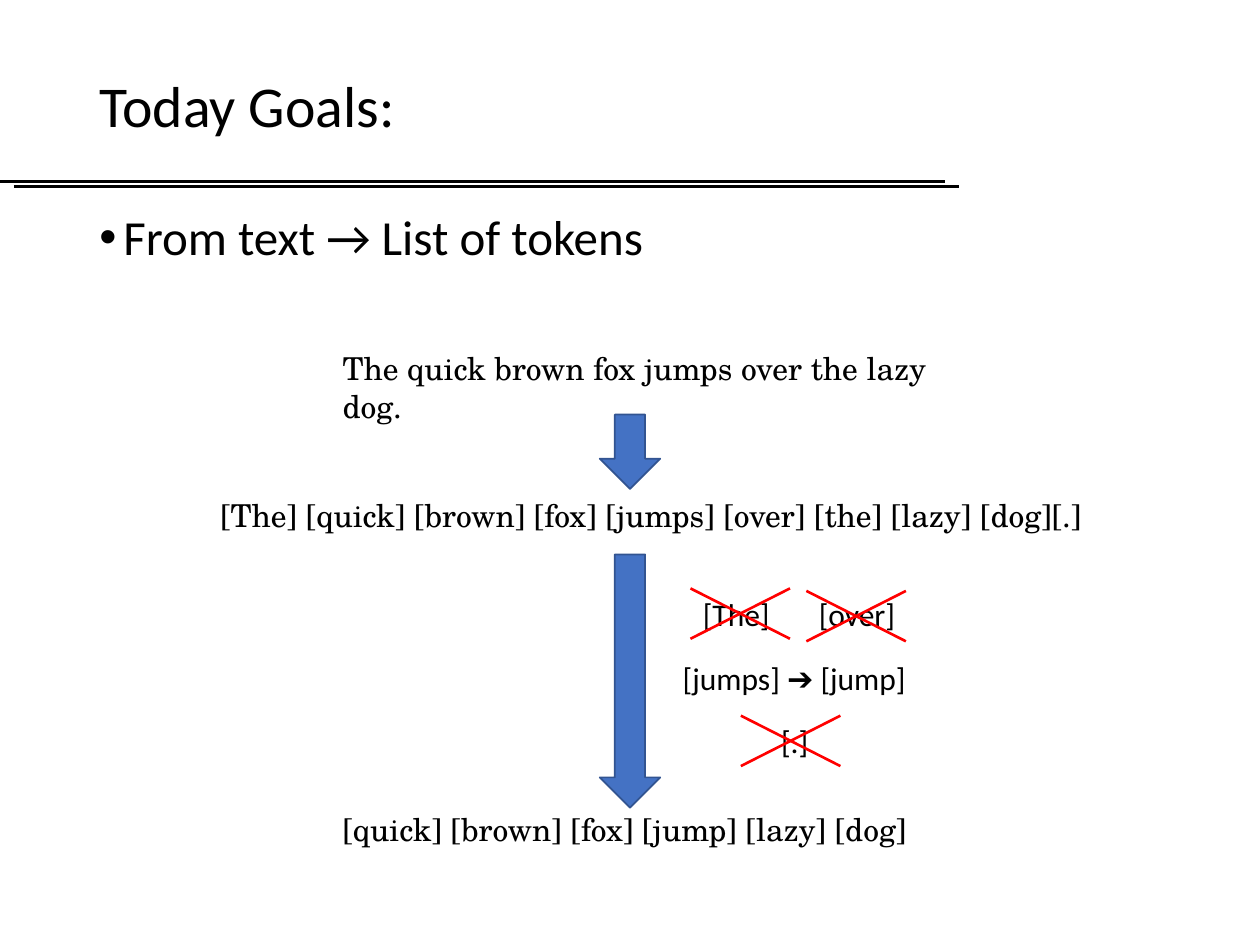
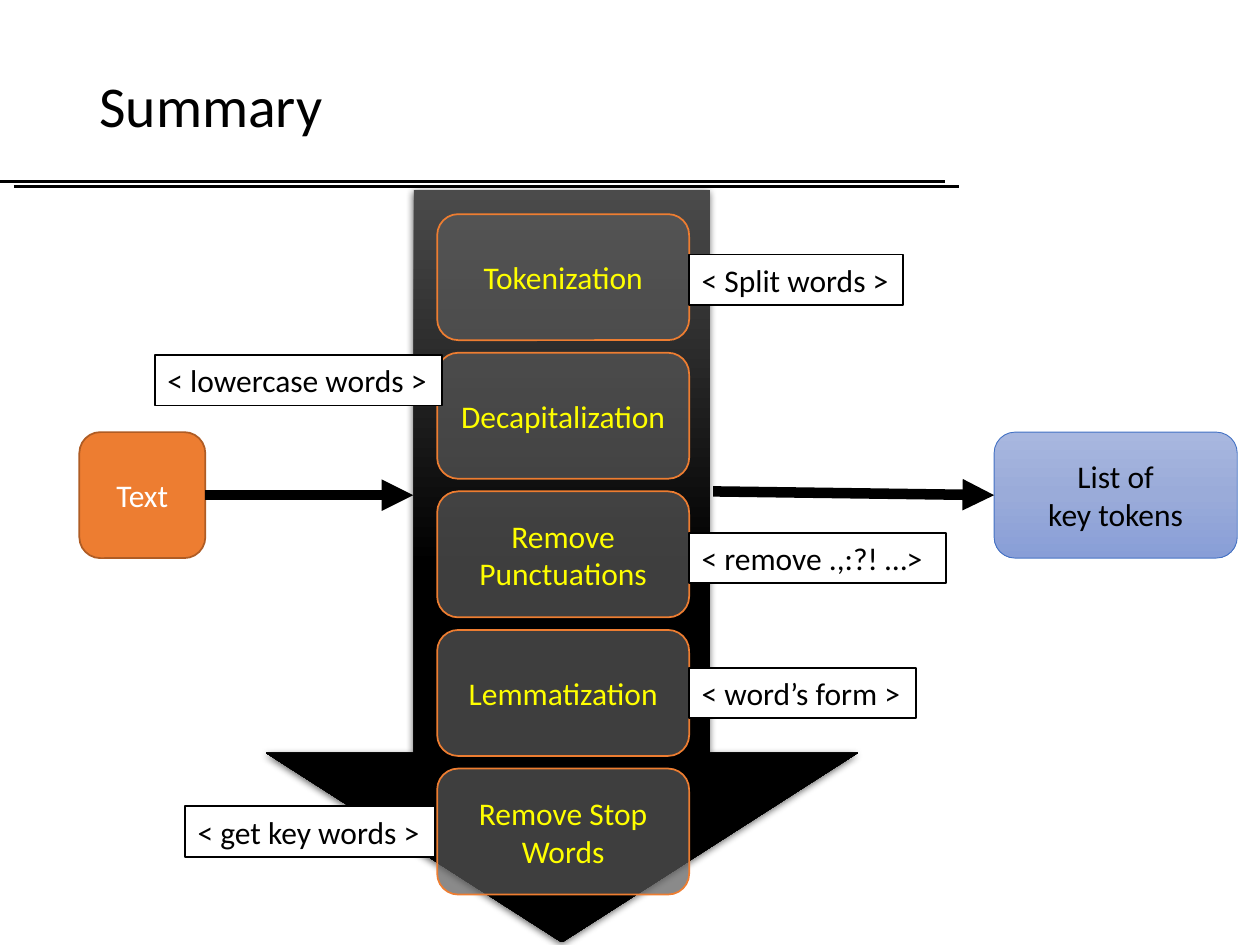
"""Build two slides on turning text into a list of key tokens."""
from collections import namedtuple
from copy import deepcopy

from lxml import etree
from pptx import Presentation
from pptx.dml.color import RGBColor
from pptx.enum.shapes import MSO_CONNECTOR, MSO_SHAPE
from pptx.enum.text import MSO_ANCHOR, PP_ALIGN
from pptx.oxml.ns import qn
from pptx.util import Emu, Pt

PX = 9144
DOWN_ARROW, ROUNDED, RECT = MSO_SHAPE.DOWN_ARROW, MSO_SHAPE.ROUNDED_RECTANGLE, MSO_SHAPE.RECTANGLE
STRAIGHT = MSO_CONNECTOR.STRAIGHT
TOP, MIDDLE = MSO_ANCHOR.TOP, MSO_ANCHOR.MIDDLE
LEFT, CENTER = PP_ALIGN.LEFT, PP_ALIGN.CENTER

Theme = namedtuple("Theme", "black white red yellow blue blue_edge orange orange_edge gray "
                            "dark_fade blue_fade sans serif title body text")
theme = Theme(black="000000", white="FFFFFF", red="FF0000", yellow="FFFF00",
              blue="4472C4", blue_edge="325491", orange="ED7D31", orange_edge="AF5C24",
              gray="595959", dark_fade=("4B4B4B", "000000", "000000"),
              blue_fade=("A8B7DF", "9AABD9", "889ED7"),
              sans="Calibri", serif="TeX Gyre Schola", title=33, body=28, text=18)


def write(slide, text, bounds, preset=None, fill=None, edge=None, edge_width=1, alpha=None,
          size=theme.text, font=theme.sans, color=theme.black, align=LEFT, anchor=TOP,
          spacing=None, before=None, bullet=None, right_inset=10):
    """Place text in a text box, or in a preset shape with fill and outline."""
    area = [Emu(n * PX) for n in bounds]
    if preset is None:
        box = slide.shapes.add_textbox(*area)
    else:
        box = slide.shapes.add_shape(preset, *area)
        box.shadow.inherit = False
        if isinstance(fill, tuple):
            box.fill.gradient()
            box.fill.gradient_angle = 270
            stops = next(box._element.spPr.iter(qn("a:gsLst")))
            stops.insert(1, deepcopy(stops[0]))
            for stop, shade, position in zip(box.fill.gradient_stops, fill, (0, 0.5, 1)):
                stop.color.rgb = RGBColor.from_string(shade)
                stop.position = position
        else:
            box.fill.solid()
            box.fill.fore_color.rgb = RGBColor.from_string(fill)
        if alpha:
            solid = next(box._element.spPr.iter(qn("a:srgbClr")))
            etree.SubElement(solid, qn("a:alpha"), val=str(alpha * 1000))
        if edge:
            box.line.color.rgb = RGBColor.from_string(edge)
            box.line.width = Pt(edge_width)
        else:
            box.line.fill.background()
    frame = box.text_frame
    frame.word_wrap = True
    frame.vertical_anchor = anchor
    frame.margin_right = Emu(right_inset * PX)
    frame.text = text
    for paragraph in frame.paragraphs:
        paragraph.alignment = align
        paragraph.line_spacing = spacing
        if before:
            paragraph.space_before = Pt(before)
        if bullet:
            props = paragraph._p.get_or_add_pPr()
            props.set("marL", str(19 * PX))
            props.set("indent", str(-19 * PX))
            etree.SubElement(props, qn("a:buFont"), typeface="Arial")
            etree.SubElement(props, qn("a:buChar"), char=bullet)
        for run in paragraph.runs:
            run.font.size = Pt(size)
            run.font.name = font
            run.font.color.rgb = RGBColor.from_string(color)
    return box


def link(shapes, start, end, color=theme.black, width=1.5, head=False):
    """Draw a straight line, with an arrowhead at its end if asked."""
    line = shapes.add_connector(STRAIGHT, *[Emu(n * PX) for n in (*start, *end)])
    line.line.color.rgb = RGBColor.from_string(color)
    line.line.width = Pt(width)
    props = line._element.spPr
    if head:
        etree.SubElement(props.find(qn("a:ln")), qn("a:tailEnd"), type="triangle")
    etree.SubElement(props, qn("a:effectLst"))
    return line


deck = Presentation()
deck.slide_width, deck.slide_height = Emu(1000 * PX), Emu(750 * PX)
goals, summary = [deck.slides.add_slide(deck.slide_layouts[6]) for _ in range(2)]

for slide, title in ((goals, "Today Goals:"), (summary, "Summary")):
    for left, top in ((11, 148), (0, 144)):
        link(slide.shapes, (left, top), (left + 750, top))
    write(slide, title, (69, 40, 862, 92), size=theme.title, anchor=MIDDLE, spacing=0.9)

write(goals, "From text → List of tokens", (69, 164, 862, 511),
      size=theme.body, spacing=0.9, before=7.5, bullet="•")

for step, left, top, width in (
        ("The quick brown fox jumps over the lazy dog.", 262, 272, 525),
        ("[The] [quick] [brown] [fox] [jumps] [over] [the] [lazy] [dog][.]", 165, 389, 720),
        ("[quick] [brown] [fox] [jump] [lazy] [dog]", 262, 638, 475)):
    write(goals, step, (left, top, width, 40), font=theme.serif)

for top, height in ((329, 59), (440, 201)):
    write(goals, "", (476, top, 48, height), preset=DOWN_ARROW,
          fill=theme.blue, edge=theme.blue_edge)

for token, left, top, width in (("[The]", 548, 467, 80), ("[over]", 640, 467, 87),
                                ("[jumps] ➔ [jump]", 532, 518, 216), ("[.]", 610, 568, 42)):
    write(goals, token, (left, top, width, 40))

for left, top in ((548, 467), (640, 469), (588, 568)):
    right, bottom = left + 79, top + 40
    cross = goals.shapes.add_group_shape().shapes
    link(cross, (left, top), (right, bottom), theme.red)
    link(cross, (left, bottom), (right, top), theme.red)

pipeline = write(summary, "", (211, 151, 470, 597), preset=DOWN_ARROW, fill=theme.dark_fade)
pipeline.adjustments[0], pipeline.adjustments[1] = 0.5, 0.32
glow = etree.SubElement(pipeline._element.spPr.find(qn("a:effectLst")), qn("a:outerShdw"),
                        blurRad=str(Pt(4.5)), dist=str(Pt(1.5)), dir="5400000", rotWithShape="0")
glow_color = etree.SubElement(glow, qn("a:srgbClr"), val=theme.black)
etree.SubElement(glow_color, qn("a:alpha"), val="63000")

source_text = write(summary, "Text", (63, 343, 100, 100), preset=ROUNDED, fill=theme.orange,
                    edge=theme.orange_edge, color=theme.white, align=CENTER, anchor=MIDDLE)
key_tokens = write(summary, "List of\nkey tokens", (789, 343, 193, 100), preset=ROUNDED,
                   fill=theme.blue_fade, edge=theme.blue, edge_width=0.5,
                   align=CENTER, anchor=MIDDLE)

stages = ("Tokenization", "Decapitalization", "Remove Punctuations",
          "Lemmatization", "Remove Stop Words")
for row, stage in enumerate(stages):
    write(summary, stage, (347, 170 + 110 * row, 200, 100), preset=ROUNDED, fill=theme.gray,
          alpha=70, edge=theme.orange, color=theme.yellow, align=CENTER, anchor=MIDDLE)

flow_in = link(summary.shapes, (163, 393), (328, 393), width=6, head=True)
flow_in.begin_connect(source_text, 3)
flow_out = link(summary.shapes, (566, 390), (789, 393), width=6, head=True)
flow_out.end_connect(key_tokens, 1)

for hint, left, top, width in (("< Split words >", 547, 202, 170),
                               ("< word’s form >", 547, 530, 180),
                               ("< remove .,:?! …>", 547, 423, 204),
                               ("< lowercase words >", 123, 282, 228),
                               ("< get key words >", 147, 640, 198)):
    write(summary, hint, (left, top, width, 40), preset=RECT, fill=theme.white,
          edge=theme.black, right_inset=0)

deck.save("out.pptx")
